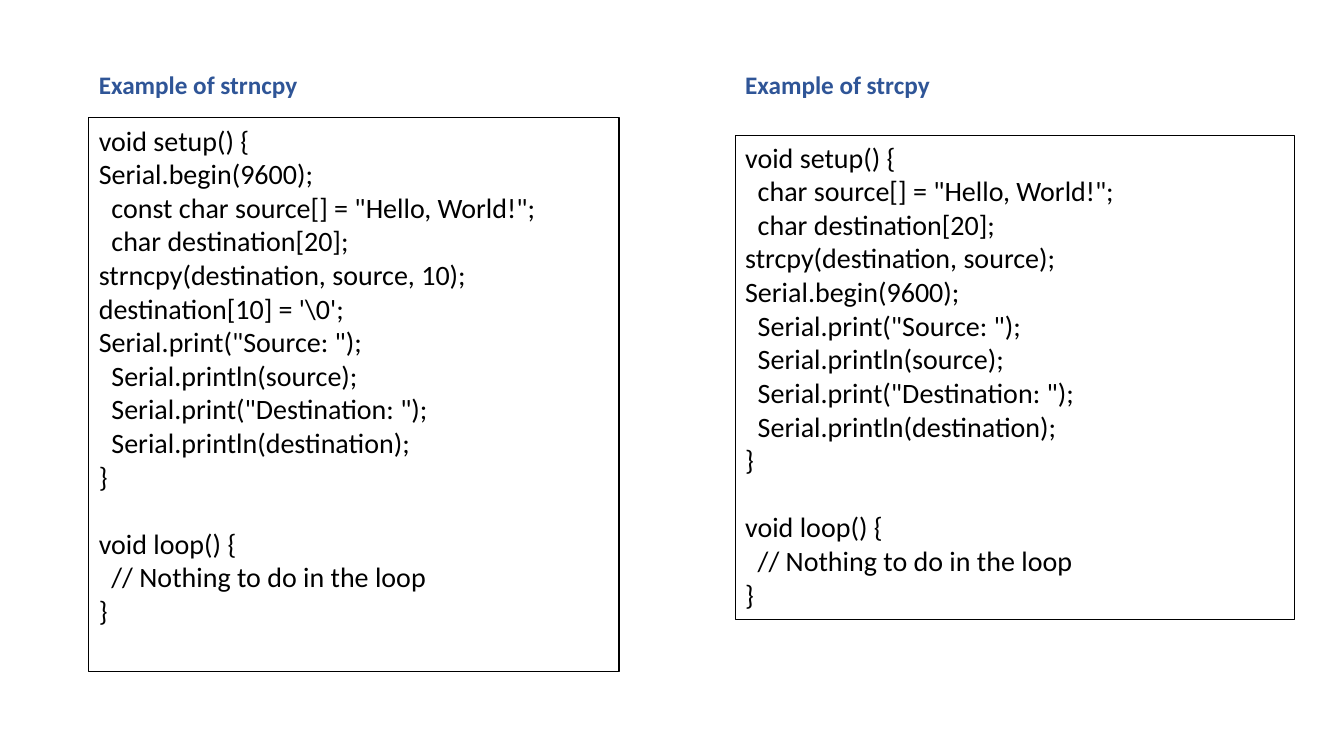
import pptx
import pptx.dml.color
import pptx.enum.text
import pptx.oxml.ns
import pptx.util

BLACK = pptx.dml.color.RGBColor(0x00, 0x00, 0x00)
BLUE = pptx.dml.color.RGBColor(0x2F, 0x55, 0x97)
FONT = "Calibri"

OUTPUT_LINES = [
    "  Serial.println(source);",
    '  Serial.print("Destination: ");',
    "  Serial.println(destination);",
    "}",
]
LOOP_LINES = ["void loop() {", "  // Nothing to do in the loop", "}"]

EXAMPLES = [
    {
        "heading": "Example of strncpy",
        "setup": [
            "void setup() {",
            "Serial.begin(9600);",
            '  const char source[] = "Hello, World!";',
            "  char destination[20];",
            "strncpy(destination, source, 10);",
            r"destination[10] = '\0';",
            'Serial.print("Source: ");',
        ],
        "left": 0.88, "top": 1.17, "width": 5.26, "height": 5.49,
    },
    {
        "heading": "Example of strcpy",
        "setup": [
            "void setup() {",
            '  char source[] = "Hello, World!";',
            "  char destination[20];",
            "strcpy(destination, source);",
            "Serial.begin(9600);",
            '  Serial.print("Source: ");',
        ],
        "left": 7.29, "top": 1.34, "width": 5.55, "height": 4.81,
    },
]
HEADING_TOP, HEADING_WIDTH, HEADING_HEIGHT = 0.64, 3.3, 0.4
CODE_SIZE, HEADING_SIZE = 20, 18
BLOCK_GAP = 24
SPACE_WIDTH = 4.5


def place(shape, left, top, width, height):
    shape.left, shape.top, shape.width, shape.height = (
        pptx.util.Inches(length) for length in (left, top, width, height)
    )


def write_blocks(shape, blocks, size, color, bold=False):
    frame = shape.text_frame
    frame.word_wrap = True
    frame.auto_size = pptx.enum.text.MSO_AUTO_SIZE.NONE
    frame.vertical_anchor = pptx.enum.text.MSO_ANCHOR.TOP
    lines = [
        (line, BLOCK_GAP if block_index and not line_index else 0)
        for block_index, block in enumerate(blocks)
        for line_index, line in enumerate(block)
    ]
    for index, (line, gap) in enumerate(lines):
        paragraph = frame.add_paragraph() if index else frame.paragraphs[0]
        paragraph.alignment = pptx.enum.text.PP_ALIGN.LEFT
        paragraph.line_spacing = 1.0
        paragraph.space_before = pptx.util.Pt(gap)
        paragraph.space_after = pptx.util.Pt(0)
        text = line.lstrip()
        properties = paragraph._p.get_or_add_pPr()
        margin = pptx.util.Pt((len(line) - len(text)) * SPACE_WIDTH)
        properties.set("marL", str(int(margin)))
        properties.set("indent", "0")
        properties.append(properties.makeelement(pptx.oxml.ns.qn("a:buNone"), {}))
        run = paragraph.add_run()
        run.text = text
        run.font.name = FONT
        run.font.size = pptx.util.Pt(size)
        run.font.bold = bold
        run.font.color.rgb = color


def main():
    presentation = pptx.Presentation()
    presentation.slide_width = pptx.util.Inches(13.33)
    presentation.slide_height = pptx.util.Inches(7.5)
    comparison = presentation.slide_layouts.get_by_name("Comparison")
    slide = presentation.slides.add_slide(comparison)
    title, *bodies = slide.placeholders
    title.element.getparent().remove(title.element)

    for example, heading, code in zip(EXAMPLES, bodies[::2], bodies[1::2]):
        place(heading, example["left"], HEADING_TOP, HEADING_WIDTH, HEADING_HEIGHT)
        write_blocks(heading, [[example["heading"]]], HEADING_SIZE, BLUE, bold=True)
        place(code, *(example[side] for side in ("left", "top", "width", "height")))
        code.line.color.rgb = BLACK
        code.line.width = pptx.util.Pt(0.75)
        setup_block = example["setup"] + OUTPUT_LINES
        write_blocks(code, [setup_block, LOOP_LINES], CODE_SIZE, BLACK)

    presentation.save("out.pptx")


if __name__ == "__main__":
    main()
